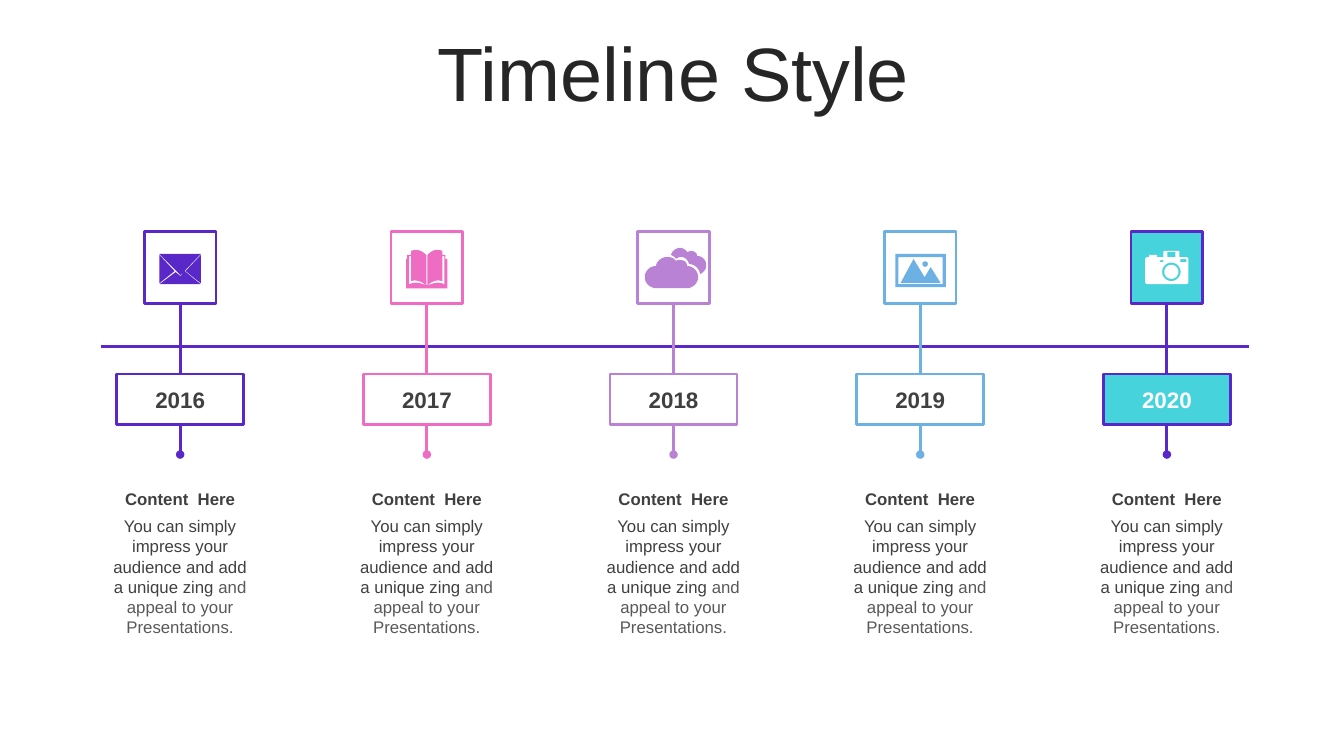
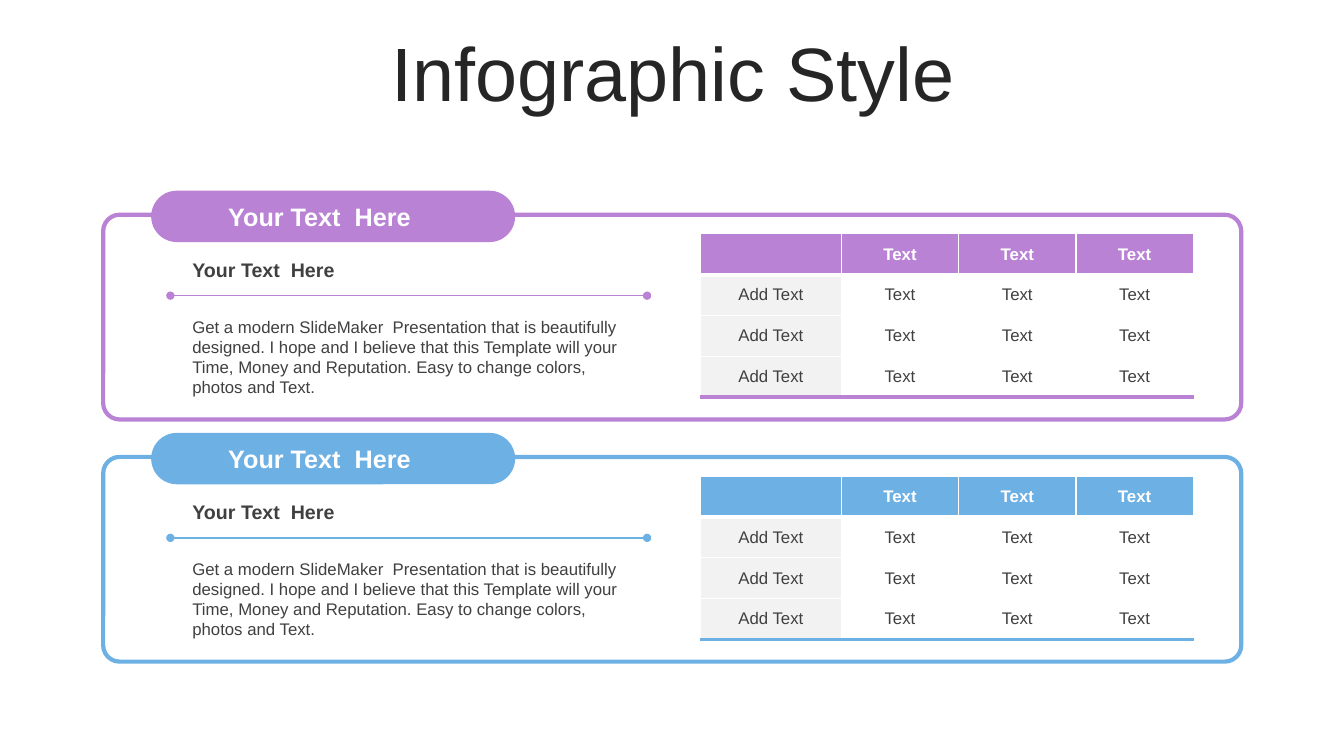
from math import cos, pi, sin

from lxml import etree
from pptx import Presentation
from pptx.dml.color import RGBColor
from pptx.enum.shapes import MSO_CONNECTOR, MSO_SHAPE
from pptx.enum.text import MSO_ANCHOR, PP_ALIGN
from pptx.oxml.ns import qn
from pptx.util import Pt

STRAIGHT = MSO_CONNECTOR.STRAIGHT
RECT, ROUNDED = MSO_SHAPE.RECTANGLE, MSO_SHAPE.ROUNDED_RECTANGLE
LEFT, CENTER = PP_ALIGN.LEFT, PP_ALIGN.CENTER
TOP, MIDDLE = MSO_ANCHOR.TOP, MSO_ANCHOR.MIDDLE

COLORS = {
    "violet": "5A28C8", "pink": "EE6CC1", "lilac": "B982D5",
    "sky": "6DB0E4", "aqua": "47D3DC", "white": "FFFFFF",
    "pale": "F2F2F2", "title": "262626", "text": "404040", "soft": "595959",
}
FORMATS = {
    "title": {"size": Pt(54), "bold": False},
    "pill": {"size": Pt(18), "bold": True},
    "year": {"size": Pt(16), "bold": True},
    "lead": {"size": Pt(14), "bold": True},
    "strong": {"size": Pt(12), "bold": True},
    "body": {"size": Pt(12), "bold": False},
}
ICON_UNIT = 0.72


def circle(cx, cy, radius, steps=32):
    angles = [2 * pi * step / steps for step in range(steps)]
    return [(cx + radius * cos(a), cy + radius * sin(a)) for a in angles]


def box(left, top, right, bottom):
    return [(left, top), (right, top), (right, bottom), (left, bottom)]


def flatten(outline, steps=8):
    points = []
    for vertex in outline:
        if len(vertex) == 2:
            points.append(vertex)
            continue
        x0, y0 = points[-1]
        x1, y1, x2, y2, x3, y3 = vertex
        for step in range(1, steps + 1):
            t = step / steps
            u = 1 - t
            weights = (u ** 3, 3 * u * u * t, 3 * u * t * t, t ** 3)
            points.append((
                sum(w * x for w, x in zip(weights, (x0, x1, x2, x3))),
                sum(w * y for w, y in zip(weights, (y0, y1, y2, y3))),
            ))
    return points


ENVELOPE = [
    [(40, 39), (56, 52), (15, 52), (31, 40), (36, 44)],
    [(56, 23), (56, 51), (41, 39)],
    [(15, 23), (30, 39), (15, 51)],
    [(15, 22), (56, 22), (36, 43)],
]
BOOK = [[
    (35, 53), (36, 53), (43, 51, 46, 49, 53, 52), (53, 24), (51, 24), (51, 49),
    (46, 47, 41, 49, 36, 53), (36, 23), (39, 20, 42, 18, 45, 18),
    (47, 18, 49, 18, 51, 19), (51, 23), (54, 23), (54, 27), (56, 27), (56, 56),
    (15, 56), (15, 27), (16, 27), (16, 23), (20, 23), (20, 19),
    (22, 18, 24, 18, 25, 18), (29, 18, 32, 20, 35, 23), (35, 53),
    (30, 49, 24, 47, 20, 49), (20, 24), (18, 24), (18, 52),
    (25, 49, 29, 51, 35, 53),
]]
CLOUDS = [
    [(29, 25), (33, 25, 36, 26, 38, 29), (39, 28, 40, 28, 42, 28),
     (46, 28, 49, 30, 49, 34), (55, 34, 60, 39, 60, 45),
     (60, 50, 56, 55, 50, 56), (19, 56), (12, 56, 7, 51, 7, 45),
     (7, 39, 12, 34, 18, 34), (19, 29, 24, 25, 29, 25)],
    [(42, 16), (45, 16, 48, 18, 49, 20), (50, 20, 52, 19, 53, 19),
     (56, 19, 59, 21, 59, 24), (64, 24, 68, 28, 68, 33),
     (68, 37, 66, 40, 62, 42), (61, 36, 56, 32, 51, 32),
     (50, 28, 47, 25, 43, 25), (41, 25, 39, 26, 38, 27),
     (37, 25, 35, 24, 33, 23), (34, 19, 38, 16, 42, 16)],
]
PHOTO = [
    circle(40.5, 32, 2.7),
    [(29, 27), (40, 45), (46, 35), (56, 51), (16, 51)],
    box(14, 25, 58, 52),
    box(11, 22, 61, 55),
]
CAMERA = [
    circle(40, 39.7, 7), circle(40, 39.7, 9.2),
    box(29, 28, 32, 30), box(49, 27, 55, 30), box(36, 20, 44, 25),
    [(34, 19), (46, 19), (47, 19, 48, 19, 48, 20), (48, 25), (54, 25),
     (56, 25, 57, 26, 57, 28), (57, 49), (57, 51, 56, 52, 54, 52), (17, 52),
     (15, 52, 14, 51, 14, 49), (14, 28), (14, 26, 15, 25, 17, 25), (18, 25),
     (18, 23), (26, 23), (26, 25), (32, 25), (32, 20), (32, 19, 33, 19, 34, 19)],
]
MILESTONES = [
    ("2016", "violet", "white", "text", "violet", ENVELOPE),
    ("2017", "pink", "white", "text", "pink", BOOK),
    ("2018", "lilac", "white", "text", "lilac", CLOUDS),
    ("2019", "sky", "white", "text", "sky", PHOTO),
    ("2020", "violet", "aqua", "white", "white", CAMERA),
]
STORY = [
    ("You can simply impress your audience and add a unique zing", "text"),
    (" and appeal to your Presentations.", "soft"),
]
PITCH = (
    "Get a modern SlideMaker  Presentation that is beautifully designed. "
    "I hope and I believe that this Template will your Time, Money and "
    "Reputation. Easy to change colors, photos and Text."
)
LABEL = "Your Text  Here"
GRID = [["", "Text", "Text", "Text"]] + [["Add Text", "Text", "Text", "Text"]] * 3


def color(name):
    return RGBColor.from_string(COLORS[name])


def assign(target, values):
    for name, value in values.items():
        setattr(target, name, value)


class Deck:
    def __init__(self):
        self.prs = Presentation()
        assign(self.prs, {"slide_width": Pt(960), "slide_height": Pt(540)})
        self.shapes = None

    def slide(self, title):
        self.shapes = self.prs.slides.add_slide(self.prs.slide_layouts[6]).shapes
        heading = self.text((25.2, 26.6, 911.5, 56.9), [(title, "title")],
                            "title", CENTER, MIDDLE)
        heading.line_spacing = 0.9

    def typeset(self, frame, runs, style, align=LEFT):
        paragraph = frame.paragraphs[0]
        paragraph.alignment = align
        for words, ink in runs:
            run = paragraph.add_run()
            run.text = words
            assign(run.font, {"name": "Arial", **FORMATS[style]})
            run.font.color.rgb = color(ink)
        return paragraph

    def text(self, area, runs, style, align=LEFT, anchor=TOP):
        frame = self.shapes.add_textbox(*map(Pt, area)).text_frame
        assign(frame, {"word_wrap": True, "vertical_anchor": anchor})
        return self.typeset(frame, runs, style, align)

    def paint(self, shape, fill, line=None, weight=0):
        shape.shadow.inherit = False
        shape.fill.solid()
        shape.fill.fore_color.rgb = color(fill)
        if line:
            shape.line.color.rgb = color(line)
            shape.line.width = Pt(weight)
        else:
            shape.line.fill.background()

    def shape(self, kind, area, fill, line=None, weight=0, corner=None):
        shape = self.shapes.add_shape(kind, *map(Pt, area))
        self.paint(shape, fill, line, weight)
        if corner is not None:
            shape.adjustments[0] = corner
        assign(shape.text_frame, {"word_wrap": True, "vertical_anchor": MIDDLE})
        return shape.text_frame

    def line(self, start, end, ink, weight, ends=()):
        line = self.shapes.add_connector(STRAIGHT, *map(Pt, start + end))
        line.line.color.rgb = color(ink)
        line.line.width = Pt(weight)
        properties = line._element.spPr
        for end_tag in ends:
            etree.SubElement(properties.find(qn("a:ln")), qn(end_tag), type="oval")
        etree.SubElement(properties, qn("a:effectLst"))

    def icon(self, left, top, outlines, ink):
        builder = None
        for outline in outlines:
            points = [(Pt(left + x * ICON_UNIT), Pt(top + y * ICON_UNIT))
                      for x, y in flatten(outline)]
            if builder is None:
                builder = self.shapes.build_freeform(*points[0], scale=1.0)
            else:
                builder.move_to(*points[0])
            builder.add_line_segments(points[1:], close=True)
        self.paint(builder.convert_to_shape(), ink)

    def borders(self, cell, edges):
        properties = cell._tc.get_or_add_tcPr()
        for index, (side, (ink, weight)) in enumerate(edges.items()):
            edge = etree.Element(qn("a:ln" + side), w=str(Pt(weight)))
            fill = etree.SubElement(edge, qn("a:solidFill"))
            etree.SubElement(fill, qn("a:srgbClr"), val=COLORS[ink])
            properties.insert(index, edge)

    def table(self, left, top, grid, widths, row_height, accent, base_weight):
        area = (left, top, sum(widths), row_height * len(grid))
        table = self.shapes.add_table(len(grid), len(widths), *map(Pt, area)).table
        assign(table, {"first_row": False, "horz_banding": False})
        for column, width in zip(table.columns, widths):
            column.width = Pt(width)
        last = len(grid) - 1
        for r, row in enumerate(grid):
            table.rows[r].height = Pt(row_height)
            for c, words in enumerate(row):
                cell = table.cell(r, c)
                cell.vertical_anchor = MIDDLE
                cell.fill.solid()
                fill = accent if r == 0 else "pale" if c == 0 else "white"
                cell.fill.fore_color.rgb = color(fill)
                self.borders(cell, {
                    "L": ("white", 1),
                    "R": ("white", 1),
                    "T": ("white", 3 if r == 1 else 1),
                    "B": (accent, base_weight) if r == last
                    else ("white", 3 if r == 0 else 1),
                })
                if words:
                    ink, style = ("text", "body") if r else ("white", "strong")
                    self.typeset(cell.text_frame, [(words, ink)], style, CENTER)


def timeline(deck):
    deck.slide("Timeline Style")
    deck.line((72, 247.7), (892, 247.7), "violet", 2)
    tile, year_width, story_width = 51.2, 90.8, 115.2
    for index, (year, accent, fill, ink, icon_ink, icon) in enumerate(MILESTONES):
        center = 128.7 + 176.2 * index
        tile_left = center - tile / 2
        story_left = center - story_width / 2
        deck.line((center, 216.7), (center, 324.7), accent, 2, ["a:tailEnd"])
        deck.shape(RECT, (tile_left, 165.6, tile, tile), fill, accent, 2)
        deck.icon(tile_left, 165.6, icon, icon_ink)
        year_box = deck.shape(RECT, (center - year_width / 2, 267.2, year_width, 36),
                              fill, accent, 2)
        deck.typeset(year_box, [(year, ink)], "year", CENTER)
        deck.text((story_left, 345.6, story_width, 21.8),
                  [("Content  Here", "text")], "strong", CENTER)
        deck.text((story_left, 365, story_width, 94.4), STORY, "body", CENTER)


def infographic(deck):
    deck.slide("Infographic Style")
    for index, (accent, base_weight) in enumerate([("lilac", 3), ("sky", 2.25)]):
        top = 153.4 + 173 * index
        deck.shape(ROUNDED, (73.7, top, 812.9, 146.2), "white", accent, 3, 0.08)
        deck.table(500.4, top + 13.6, GRID, [100.6] + [83.8] * 3, 29.2,
                   accent, base_weight)
        pill = deck.shape(ROUNDED, (108, top - 17.2, 260, 36.7), accent, corner=0.5)
        pill.margin_left = Pt(49.7)
        deck.typeset(pill, [(LABEL, "white")], "pill")
        deck.line((121.7, top + 57.8), (462.2, top + 57.8), accent, 1,
                  ["a:headEnd", "a:tailEnd"])
        deck.text((130.3, top + 69, 329, 65.5), [(PITCH, "text")], "body")
        deck.text((130.3, top + 27.3, 193, 24.5), [(LABEL, "text")], "lead")


def main():
    deck = Deck()
    timeline(deck)
    infographic(deck)
    deck.prs.save("out.pptx")


if __name__ == "__main__":
    main()
